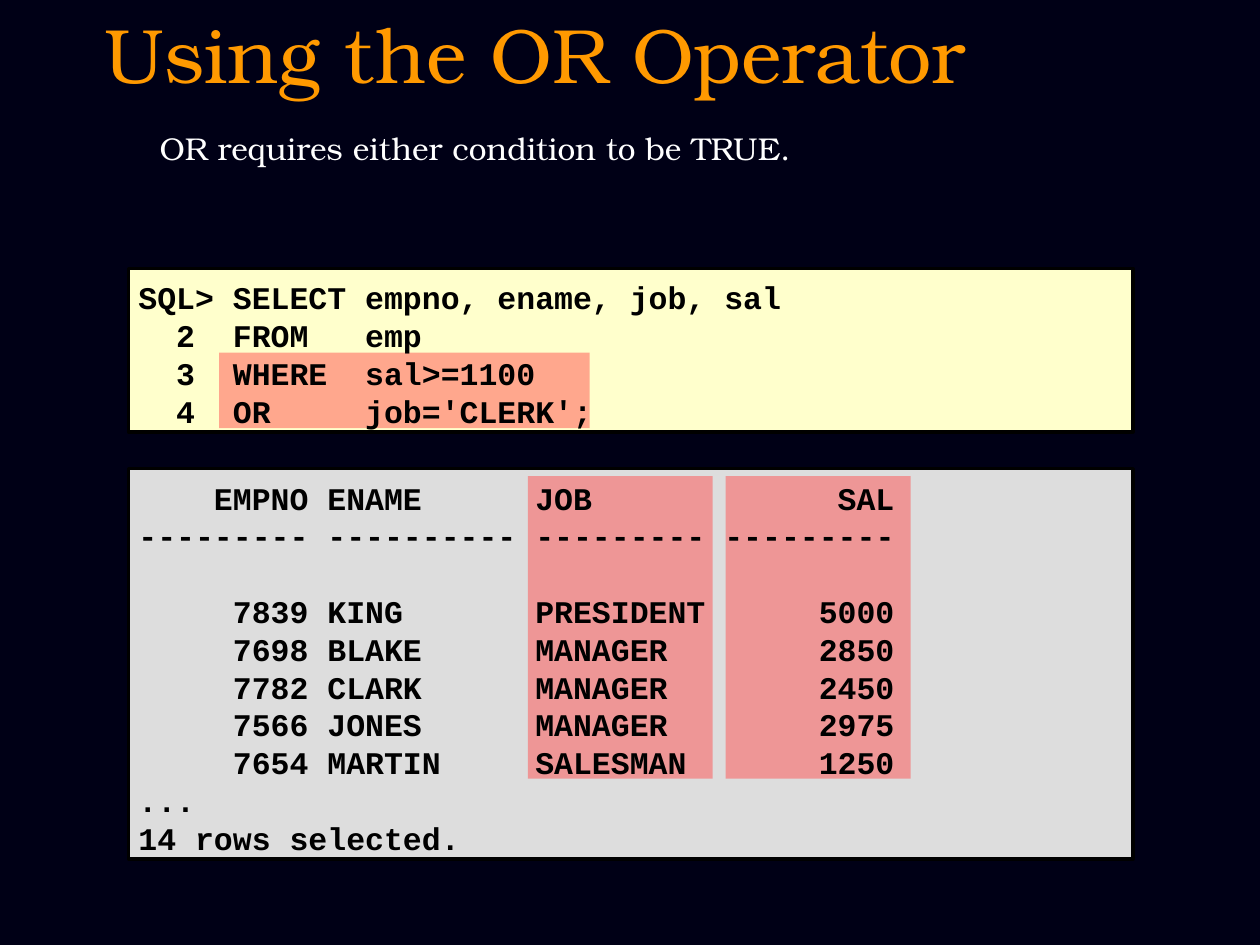
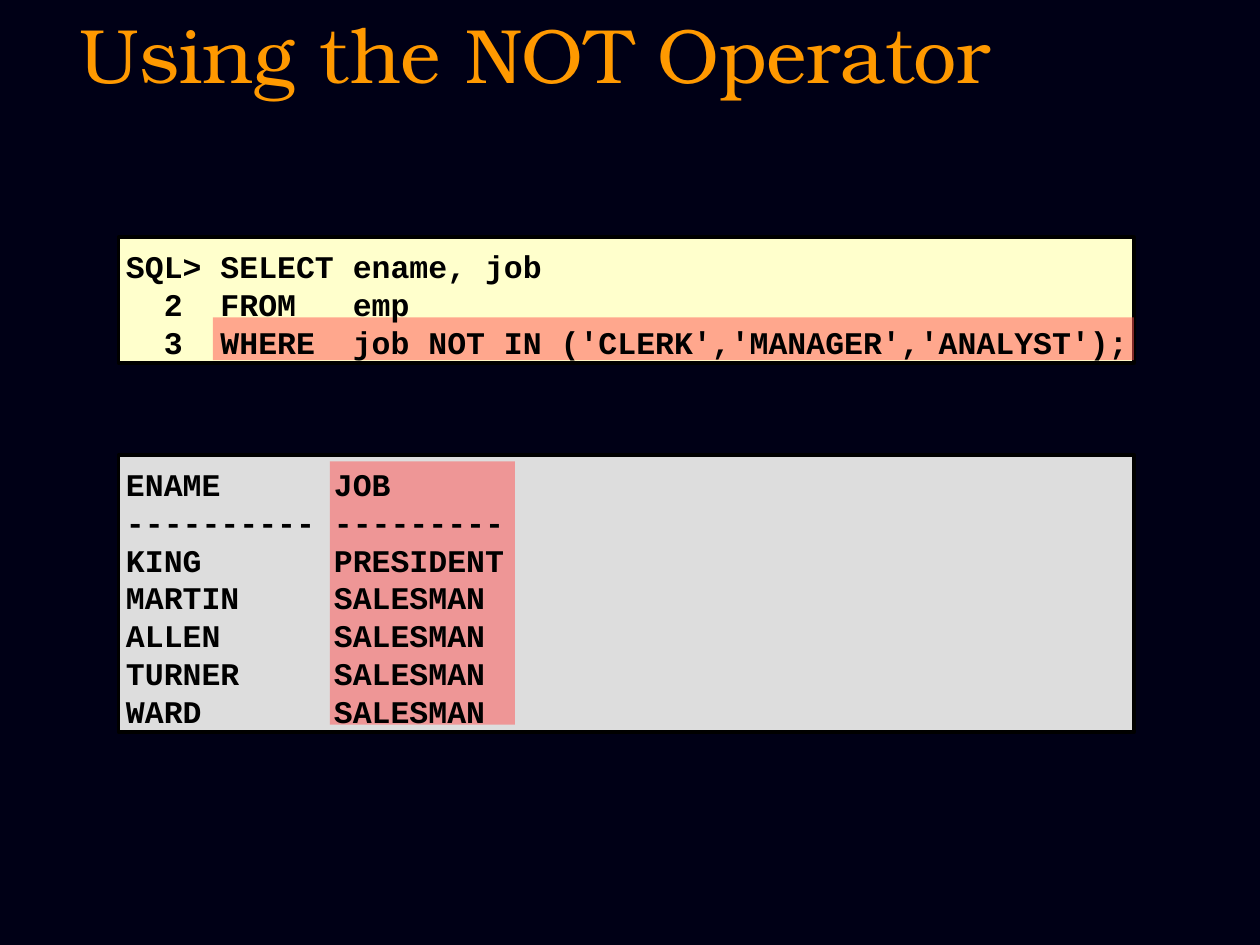
"""Build two slides on the SQL OR and NOT operators."""
from dataclasses import dataclass

from lxml.etree import SubElement
from pptx import Presentation
from pptx.dml.color import RGBColor
from pptx.enum.shapes import MSO_SHAPE
from pptx.enum.text import MSO_ANCHOR, PP_ALIGN
from pptx.oxml.ns import qn
from pptx.util import Cm, Pt


@dataclass(frozen=True)
class Theme:
    background: str = "000016"
    title: str = "FF9900"
    body: str = "FFFFFF"
    ink: str = "000000"
    code: str = "FFFFCC"
    output: str = "DDDDDD"
    highlight: str = "FF5050"
    serif: str = "TeX Gyre Bonum"
    mono: str = "Courier New"
    title_size: float = 44
    text_size: float = 18
    line_pitch: float = 21.6
    char_cm: float = 0.381


@dataclass(frozen=True)
class Box:
    left: float
    top: float
    width: float
    height: float

    def lengths(self) -> tuple:
        return Cm(self.left), Cm(self.top), Cm(self.width), Cm(self.height)


@dataclass(frozen=True)
class Listing:
    box: Box
    fill: str
    stops: tuple
    rows: tuple
    gap_before: int = -1


@dataclass(frozen=True)
class OperatorSlide:
    title: str
    text_left: float
    listings: tuple
    highlights: tuple
    note: str = ""


THEME = Theme()
TITLE_BOX = Box(0, 0, 21.59, 1.91)
NOTE_BOX = Box(2.97, 2.54, 19.9, 0.99)
CODE_STOPS = ((2, "l"), (5, "l"), (12, "l"))

SLIDES = (
    OperatorSlide(
        title="Using the OR Operator",
        note="OR requires either condition to be TRUE.",
        text_left=2.54,
        listings=(
            Listing(Box(2.59, 5.41, 20.25, 3.3), THEME.code, CODE_STOPS, (
                ("SQL>", "SELECT", "empno, ename, job, sal"),
                ("", "2", "FROM", "emp"),
                ("", "3", "WHERE", "sal>=1100"),
                ("", "4", "OR", "job='CLERK';"),
            )),
            Listing(Box(2.59, 9.45, 20.25, 7.87), THEME.output,
                    ((9, "r"), (10, "l"), (21, "l"), (40, "r")), (
                ("", "EMPNO", "ENAME", "JOB", "SAL"),
                ("--------- ---------- --------- ---------",),
                ("", "7839", "KING", "PRESIDENT", "5000"),
                ("", "7698", "BLAKE", "MANAGER", "2850"),
                ("", "7782", "CLARK", "MANAGER", "2450"),
                ("", "7566", "JONES", "MANAGER", "2975"),
                ("", "7654", "MARTIN", "SALESMAN", "1250"),
                ("...",),
                ("14 rows selected.",),
            ), gap_before=2),
        ),
        highlights=(
            Box(4.42, 7.11, 7.47, 1.52),
            Box(10.64, 9.6, 3.73, 6.1),
            Box(14.63, 9.6, 3.73, 6.1),
        ),
    ),
    OperatorSlide(
        title="Using the NOT Operator",
        text_left=2.29,
        listings=(
            Listing(Box(2.39, 4.78, 20.47, 2.54), THEME.code, CODE_STOPS, (
                ("SQL>", "SELECT", "ename, job"),
                ("", "2", "FROM", "emp"),
                ("", "3", "WHERE", "job NOT IN ('CLERK','MANAGER','ANALYST');"),
            )),
            Listing(Box(2.39, 9.17, 20.47, 5.59), THEME.output, ((11, "l"),), (
                ("ENAME", "JOB"),
                ("---------- ---------",),
                ("KING", "PRESIDENT"),
                ("MARTIN", "SALESMAN"),
                ("ALLEN", "SALESMAN"),
                ("TURNER", "SALESMAN"),
                ("WARD", "SALESMAN"),
            )),
        ),
        highlights=(
            Box(4.29, 6.4, 18.57, 0.86),
            Box(6.65, 9.3, 3.73, 5.31),
        ),
    ),
)


def add_rect(s, box: Box, fill: str, line: str = "", alpha: int = 100):
    """Draw a rectangle with an optional outline and opacity in percent."""
    sp = s.shapes.add_shape(MSO_SHAPE.RECTANGLE, *box.lengths())
    sp.shadow.inherit = False
    sp.fill.solid()
    sp.fill.fore_color.rgb = RGBColor.from_string(fill)
    if alpha < 100:
        color = sp.fill._xPr.find(f"{qn('a:solidFill')}/{qn('a:srgbClr')}")
        SubElement(color, qn("a:alpha"), val=str(alpha * 1000))
    if line:
        sp.line.color.rgb = RGBColor.from_string(line)
        sp.line.width = Pt(2)
    else:
        sp.line.fill.background()


def add_text(s, box: Box, lines: list, *, font: str, size: float, color: str,
             bold: bool = False, align=PP_ALIGN.LEFT, anchor=MSO_ANCHOR.TOP,
             spacing=1.0, stops: tuple = (), gap_before: int = -1):
    """Write lines of text, with tab stops counted in characters."""
    tf = s.shapes.add_textbox(*box.lengths()).text_frame
    tf.word_wrap = True
    tf.vertical_anchor = anchor
    for i, line in enumerate(lines):
        p = tf.paragraphs[0] if i == 0 else tf.add_paragraph()
        p.alignment = align
        p.line_spacing = spacing
        if i == gap_before:
            p.space_before = spacing
        if stops:
            tabs = SubElement(p._p.get_or_add_pPr(), qn("a:tabLst"))
            for column, side in stops:
                SubElement(tabs, qn("a:tab"), algn=side,
                           pos=str(Cm(column * THEME.char_cm)))
        r = p.add_run()
        r.text = line
        r.font.name = font
        r.font.size = Pt(size)
        r.font.bold = bold
        r.font.color.rgb = RGBColor.from_string(color)


def add_listing_text(s, listing: Listing, left: float):
    """Write the rows of a listing in fixed-width columns."""
    box = Box(left, listing.box.top + 0.04, 21, listing.box.height + 0.07)
    add_text(s, box, ["\t".join(row) for row in listing.rows],
             font=THEME.mono, size=THEME.text_size, color=THEME.ink, bold=True,
             anchor=MSO_ANCHOR.MIDDLE, spacing=Pt(THEME.line_pitch),
             stops=listing.stops, gap_before=listing.gap_before)


def add_operator_slide(prs, content: OperatorSlide):
    """Add a slide with a title, listings and their highlights."""
    s = prs.slides.add_slide(prs.slide_layouts[6])
    s.background.fill.solid()
    s.background.fill.fore_color.rgb = RGBColor.from_string(THEME.background)
    for listing in content.listings:
        add_rect(s, listing.box, listing.fill, line=THEME.ink)
    add_text(s, TITLE_BOX, [content.title], font=THEME.serif,
             size=THEME.title_size, color=THEME.title, align=PP_ALIGN.CENTER)
    if content.note:
        add_text(s, NOTE_BOX, [content.note], font=THEME.serif,
                 size=THEME.text_size, color=THEME.body, spacing=0.95)
    for box in content.highlights:
        add_rect(s, box, THEME.highlight, alpha=50)
    for listing in content.listings:
        add_listing_text(s, listing, content.text_left)


def main():
    """Build and save the presentation."""
    prs = Presentation()
    prs.slide_width, prs.slide_height = Cm(25.4), Cm(19.05)
    for content in SLIDES:
        add_operator_slide(prs, content)
    prs.save("out.pptx")


if __name__ == "__main__":
    main()
